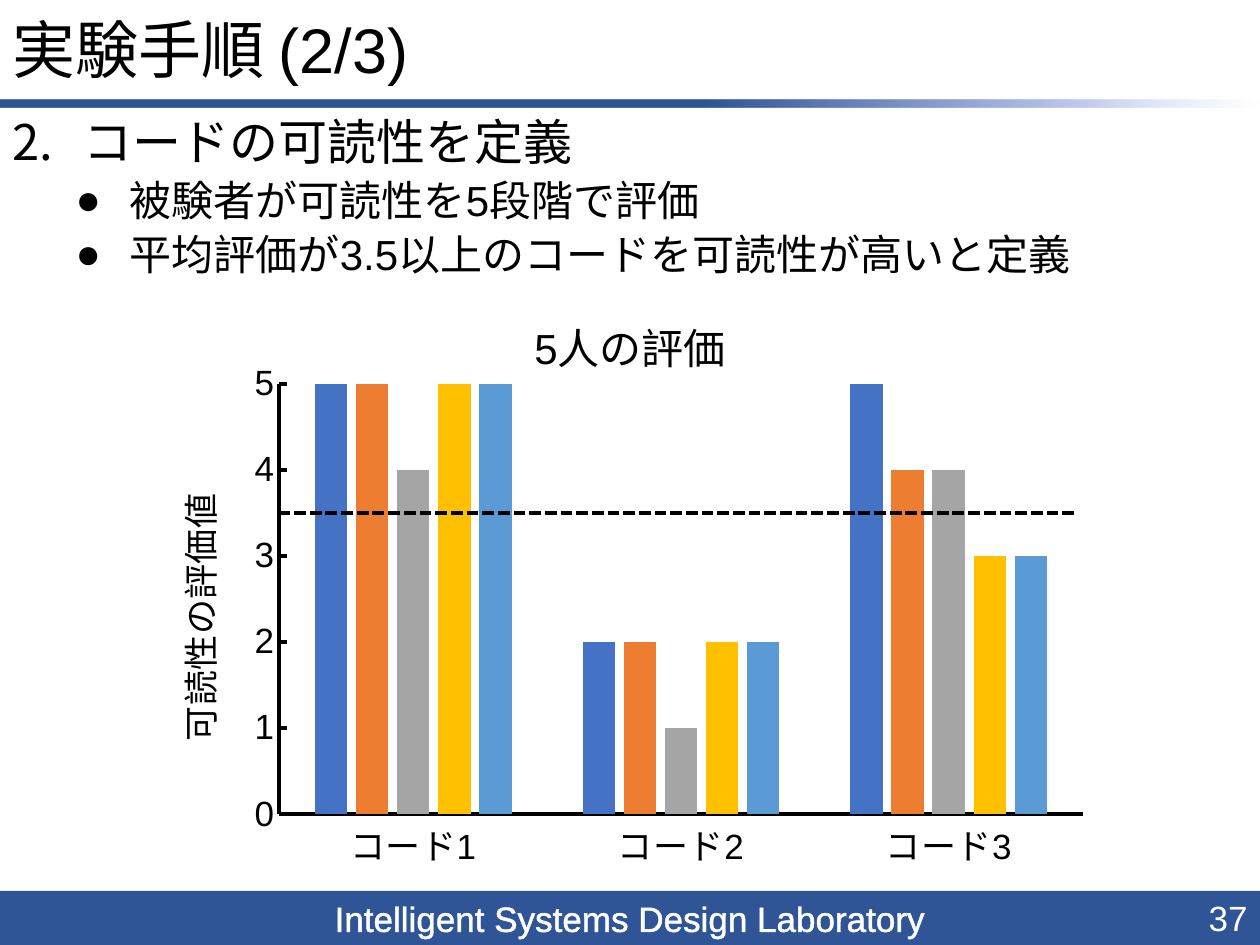
from typing import NamedTuple

from pptx import Presentation
from pptx.chart.data import CategoryChartData
from pptx.dml.color import RGBColor
from pptx.enum.chart import XL_CHART_TYPE as CT, XL_TICK_MARK as TICK
from pptx.enum.dml import MSO_LINE
from pptx.enum.shapes import MSO_CONNECTOR, MSO_SHAPE
from pptx.enum.text import MSO_ANCHOR, MSO_AUTO_SIZE, PP_ALIGN
from pptx.oxml import parse_xml
from pptx.oxml.ns import nsdecls
from pptx.util import Inches, Pt

BLACK = RGBColor(0x00, 0x00, 0x00)
WHITE = RGBColor(0xFF, 0xFF, 0xFF)
NAVY = RGBColor(0x2F, 0x55, 0x97)
PALE = RGBColor(0xC0, 0xCB, 0xF0)
MIST = RGBColor(0xE0, 0xE5, 0xF7)
FONT = "Arial"
W, H = 10, 7.5
RULE_TOP, RULE_H, FOOTER_TOP = 0.79, 0.06, 7.07
CHART_X, CHART_Y, CHART_W, CHART_H = 1.25, 2.26, 7.5, 4.82
PLOT = {"x": 0.129, "y": 0.163, "w": 0.85, "h": 0.709}
TOP_RATING, THRESHOLD = 5, 3.5


class Item(NamedTuple):
    text: str
    level: int
    size: int
    before: int
    left: float
    hang: float
    bullet: str


class Rating(NamedTuple):
    name: str
    values: tuple
    color: RGBColor


ITEMS = [
    Item("コードの可読性を定義", 0, 28, 10, 0.56, 0.56,
         '<a:buAutoNum {} type="arabicPeriod" startAt="2"/>'),
    *(Item(text, 1, 24, 5, 0.93, 0.43, '<a:buChar {} char="●"/>')
      for text in ("被験者が可読性を5段階で評価",
                   "平均評価が3.5以上のコードを可読性が高いと定義")),
]
RATINGS = [
    Rating("Series 1", (5, 2, 5), RGBColor(0x44, 0x72, 0xC4)),
    Rating("Series 2", (5, 2, 4), RGBColor(0xED, 0x7D, 0x31)),
    Rating("Series 3", (4, 1, 4), RGBColor(0xA5, 0xA5, 0xA5)),
    Rating("Series 4", (5, 2, 3), RGBColor(0xFF, 0xC0, 0x00)),
    Rating("Series 5", (5, 2, 3), RGBColor(0x5B, 0x9B, 0xD5)),
]


def assign(obj, values: dict) -> None:
    for name, value in values.items():
        setattr(obj, name, value)


def style(font, size: float, color: RGBColor = BLACK) -> None:
    assign(font, {"name": FONT, "size": Pt(size), "bold": False})
    font.color.rgb = color


def write(p, text: str, size: float, color: RGBColor = BLACK,
          align=PP_ALIGN.LEFT):
    r = p.add_run()
    r.text = text
    style(r.font, size, color)
    p.alignment = align
    return r


def place(sp, x: float, y: float, w: float, h: float) -> None:
    assign(sp, {"left": Inches(x), "top": Inches(y),
                "width": Inches(w), "height": Inches(h)})


def set_frame(tf, anchor) -> None:
    assign(tf, {"word_wrap": True, "auto_size": MSO_AUTO_SIZE.NONE,
                "vertical_anchor": anchor})


def add_band(y: float, h: float):
    sp = slide.shapes.add_shape(MSO_SHAPE.RECTANGLE, 0, Inches(y),
                                Inches(W), Inches(h))
    sp.shadow.inherit = False
    sp.fill.solid()
    sp.fill.fore_color.rgb = NAVY
    sp.line.fill.background()
    return sp


def add_item(p, item: Item) -> None:
    write(p, item.text, item.size)
    assign(p, {"level": item.level, "line_spacing": 0.9,
               "space_before": Pt(item.before)})
    pPr = p._p.get_or_add_pPr()
    pPr.set("marL", str(Inches(item.left)))
    pPr.set("indent", str(-Inches(item.hang)))
    pPr.append(parse_xml(item.bullet.format(nsdecls("a"))))


def set_axis_line(axis, tick) -> None:
    assign(axis, {"major_tick_mark": tick, "minor_tick_mark": TICK.NONE,
                  "has_major_gridlines": False})
    style(axis.tick_labels.font, 20)
    axis.format.line.color.rgb = BLACK
    axis.format.line.width = Pt(2.25)


prs = Presentation()
prs.slide_width, prs.slide_height = Inches(W), Inches(H)
slide = prs.slides.add_slide(prs.slide_layouts[1])

# Footer band with outlined lettering
footer = add_band(FOOTER_TOP, H - FOOTER_TOP)
set_frame(footer.text_frame, MSO_ANCHOR.MIDDLE)
r = write(footer.text_frame.paragraphs[0],
          "Intelligent Systems Design Laboratory", 20, WHITE, PP_ALIGN.CENTER)
r.font._element.insert(0, parse_xml(
    f'<a:ln {nsdecls("a")} w="{Pt(0.75)}"><a:solidFill>'
    f'<a:srgbClr val="{WHITE}"/></a:solidFill></a:ln>'))

# Fading rule under the title
rule = add_band(RULE_TOP, RULE_H)
stops = "".join(
    f'<a:gs pos="{pos * 1000}"><a:srgbClr val="{color}">'
    f'<a:alpha val="{alpha * 1000}"/></a:srgbClr></a:gs>'
    for pos, color, alpha in ((56, NAVY, 100), (86, PALE, 100), (100, MIST, 0)))
solid = rule._element.spPr.find(
    "{http://schemas.openxmlformats.org/drawingml/2006/main}solidFill")
solid.getparent().replace(solid, parse_xml(
    f'<a:gradFill {nsdecls("a")}><a:gsLst>{stops}</a:gsLst>'
    '<a:lin ang="0" scaled="0"/></a:gradFill>'))

# Title and list
title, body = slide.placeholders
place(title, 0, 0.05, W, RULE_TOP - 0.05)
set_frame(title.text_frame, MSO_ANCHOR.MIDDLE)
write(title.text_frame.paragraphs[0], "実験手順 (2/3)", 36)
title.text_frame.paragraphs[0].line_spacing = 0.9

place(body, 0, 0.89, W, FOOTER_TOP - 0.89)
tf = body.text_frame
set_frame(tf, MSO_ANCHOR.TOP)
for i, item in enumerate(ITEMS):
    add_item(tf.add_paragraph() if i else tf.paragraphs[0], item)

# Page number
number = slide.shapes.add_textbox(0, 0, 0, 0)
place(number, 7.75, FOOTER_TOP, W - 7.75, H - FOOTER_TOP)
set_frame(number.text_frame, MSO_ANCHOR.MIDDLE)
write(number.text_frame.paragraphs[0], "37", 20, WHITE, PP_ALIGN.RIGHT)

# Ratings chart
data = CategoryChartData()
data.categories = [f"コード{n}" for n in (1, 2, 3)]
for rating in RATINGS:
    data.add_series(rating.name, rating.values)
chart = slide.shapes.add_chart(
    CT.COLUMN_CLUSTERED, Inches(CHART_X), Inches(CHART_Y),
    Inches(CHART_W), Inches(CHART_H), data).chart
style(chart.font, 20)
chart.has_legend = False
plot = chart.plots[0]
assign(plot, {"gap_width": 219, "overlap": -27, "vary_by_categories": False})
for series, rating in zip(plot.series, RATINGS):
    series.format.fill.solid()
    series.format.fill.fore_color.rgb = rating.color

set_axis_line(chart.category_axis, TICK.NONE)
set_axis_line(chart.value_axis, TICK.INSIDE)
assign(chart.value_axis, {"minimum_scale": 0, "maximum_scale": TOP_RATING,
                          "major_unit": 1})
for heading, text, size in (
        (chart.chart_title, "5人の評価", 24),
        (chart.value_axis.axis_title, "可読性の評価値", 20)):
    write(heading.text_frame.paragraphs[0], text, size, align=PP_ALIGN.CENTER)
chart.chart_title.include_in_layout = False

# Fixed inner plot area
plot_area = plot._element.getparent()
for old in plot_area.findall(
        "{http://schemas.openxmlformats.org/drawingml/2006/chart}layout"):
    plot_area.remove(old)
sizes = "".join(f'<c:{key} val="{share}"/>' for key, share in PLOT.items())
plot_area.insert(0, parse_xml(
    f'<c:layout {nsdecls("c")}><c:manualLayout><c:layoutTarget val="inner"/>'
    f'<c:xMode val="edge"/><c:yMode val="edge"/>{sizes}'
    '</c:manualLayout></c:layout>'))

# Dashed threshold across the plot
line_y = CHART_Y + CHART_H * (PLOT["y"] + PLOT["h"] * (1 - THRESHOLD / TOP_RATING))
line = slide.shapes.add_connector(
    MSO_CONNECTOR.STRAIGHT, Inches(2.21), Inches(line_y),
    Inches(8.55), Inches(line_y))
assign(line.line, {"width": Pt(2.25), "dash_style": MSO_LINE.SQUARE_DOT})
line.line.color.rgb = BLACK
line._element.spPr.append(parse_xml(f'<a:effectLst {nsdecls("a")}/>'))

prs.save("out.pptx")
